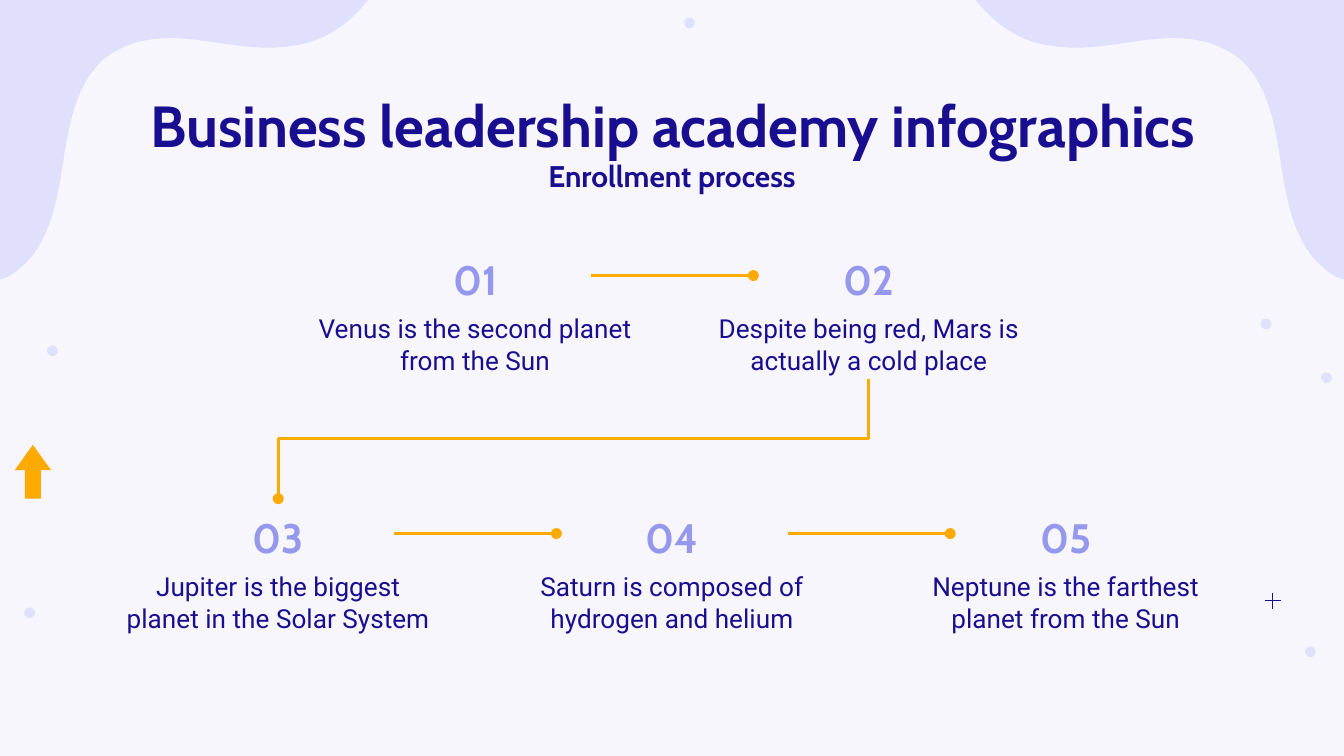
from lxml import etree
from pptx import Presentation
from pptx import util as u
from pptx.dml.color import RGBColor
from pptx.enum import shapes, text
from pptx.oxml import ns

INK = {
    "back": "F6F6FC",
    "pale": "E0E0FD",
    "navy": "1A0E90",
    "lilac": "9698ED",
    "gold": "FFAA00",
}
WIDTH = 10
HEIGHT = WIDTH * 9 / 16
STEP = 2.93                      # distance between step centres
NUM_W, TEXT_W, BOX_H = 1.72, 2.56, 0.52
ROWS = [
    (1.79, ["Venus is the second planet from the Sun",
            "Despite being red, Mars is actually a cold place"]),
    (3.71, ["Jupiter is the biggest planet in the Solar System",
            "Saturn is composed of hydrogen and helium",
            "Neptune is the farthest planet from the Sun"]),
]
DOTS = [(0.39, 2.61), (9.75, 4.85), (9.87, 2.81),
        (5.13, 0.17), (0.22, 4.56), (9.42, 2.41)]
# Edge of the left corner wave: a start, then Bezier triples
START = (0, 2.08)
WAVE = [
    ((0.04, 2.07), (0.08, 2.05), (0.12, 2.02)),
    ((0.14, 2), (0.17, 1.98), (0.19, 1.96)),
    ((0.38, 1.77), (0.43, 1.47), (0.47, 1.21)),
    ((0.51, 0.94), (0.56, 0.65), (0.75, 0.46)),
    ((0.77, 0.44), (0.8, 0.42), (0.83, 0.4)),
    ((1.02, 0.27), (1.27, 0.27), (1.49, 0.3)),
    ((1.72, 0.33), (1.95, 0.38), (2.18, 0.34)),
    ((2.36, 0.32), (2.52, 0.23), (2.65, 0.1)),
    ((2.68, 0.07), (2.71, 0.04), (2.74, 0)),
]


def color(name):
    return RGBColor.from_string(INK[name])


def paint(shape, name):
    shape.shadow.inherit = False
    shape.fill.solid()
    shape.fill.fore_color.rgb = color(name)
    shape.line.fill.background()


def trace(start, curves, count=12):
    """Return points along a chain of cubic Bezier curves."""
    points = [start]
    for one, two, end in curves:
        first = points[-1]
        for i in range(1, count + 1):
            t = i / count
            s = 1 - t
            points.append(tuple(
                s**3 * a + 3 * s * s * t * b + 3 * s * t * t * c + t**3 * d
                for a, b, c, d in zip(first, one, two, end)))
    return points


def add_wave(slide, mirror):
    points = trace(START, WAVE) + [(0, 0)]
    if mirror:
        points = [(WIDTH - x, y) for x, y in points]
    points = [(u.Inches(x), u.Inches(y)) for x, y in points]
    build = slide.shapes.build_freeform(*points[0])
    build.add_line_segments(points[1:], close=True)
    paint(build.convert_to_shape(), "pale")


def add_dot(slide, x, y, size=0.08):
    dot = slide.shapes.add_shape(
        shapes.MSO_SHAPE.OVAL, u.Inches(x - size / 2), u.Inches(y - size / 2),
        u.Inches(size), u.Inches(size))
    paint(dot, "pale")


def add_arrow(slide):
    arrow = slide.shapes.add_shape(
        shapes.MSO_SHAPE.UP_ARROW, u.Inches(0.11), u.Inches(3.31),
        u.Inches(0.27), u.Inches(0.4))
    arrow.adjustments[0] = 0.44
    arrow.adjustments[1] = 0.7
    paint(arrow, "gold")


def add_line(slide, kind, ends, name, width):
    line = slide.shapes.add_connector(kind, *map(u.Inches, ends))
    line.line.color.rgb = color(name)
    line.line.width = u.Pt(width)
    etree.SubElement(line._element.spPr, ns.qn("a:effectLst"))
    return line


def add_link(slide, ends):
    """Draw a gold elbow connector that ends in a dot."""
    link = add_line(slide, shapes.MSO_CONNECTOR.ELBOW, ends, "gold", 1.5)
    edge = link._element.spPr.find(ns.qn("a:ln"))
    etree.SubElement(edge, ns.qn("a:tailEnd"), type="oval")
    return link


def add_plus(slide, x=9.47, y=4.47, arm=0.06):
    for ends in ((x - arm, y, x + arm, y), (x, y + arm, x, y - arm)):
        add_line(slide, shapes.MSO_CONNECTOR.STRAIGHT, ends, "navy", 0.78)


def write(shape, words, size, font, name, bold=False, space=1.0,
          anchor=text.MSO_ANCHOR.MIDDLE):
    frame = shape.text_frame
    frame.word_wrap = True
    frame.auto_size = text.MSO_AUTO_SIZE.NONE
    frame.vertical_anchor = anchor
    frame.margin_left = frame.margin_right = u.Inches(0.1)
    frame.margin_top = frame.margin_bottom = u.Inches(0.1)
    frame.text = words
    para = frame.paragraphs[0]
    para.alignment = text.PP_ALIGN.CENTER
    para.line_spacing = space
    para.space_before = u.Pt(0)
    para.font.size = u.Pt(size)
    para.font.name = font
    para.font.bold = bold
    para.font.color.rgb = color(name)


def add_box(slide, mid, top, width, height):
    return slide.shapes.add_textbox(
        u.Inches(mid - width / 2), u.Inches(top),
        u.Inches(width), u.Inches(height))


def add_heads(slide):
    title = slide.shapes.title
    title.left, title.top = u.Inches(0.79), u.Inches(0.49)
    title.width, title.height = u.Inches(8.43), u.Inches(0.63)
    write(title, "Business leadership academy infographics", 31, "Cabin",
          "navy", True, 1.15, text.MSO_ANCHOR.TOP)
    slide.shapes._spTree.append(title._element)  # in front of the waves
    sub = add_box(slide, WIDTH / 2, 1.07, 4.78, 0.44)
    write(sub, "Enrollment process", 16, "Cabin", "navy", True,
          anchor=text.MSO_ANCHOR.TOP)


def add_step(slide, number, words, mid, top):
    body = add_box(slide, mid, top + 0.51, TEXT_W, BOX_H)
    write(body, words, 14, "Roboto", "navy")
    label = add_box(slide, mid, top, NUM_W, BOX_H)
    write(label, f"{number:02}", 22, "Cabin", "lilac", True, 1.15)
    return label


def add_row(slide, first, top, items):
    """Centre a row of steps and link each number to the next."""
    labels = []
    for i, words in enumerate(items):
        mid = WIDTH / 2 + (i - (len(items) - 1) / 2) * STEP
        labels.append(add_step(slide, first + i, words, mid, top))
    for left, right in zip(labels, labels[1:]):
        link = add_link(slide, (0, 0, 1, 0))
        link.begin_connect(left, 3)
        link.end_connect(right, 1)


def add_turn(slide):
    """Link the end of the first row to the start of the second."""
    x, y, end_x, end_y = WIDTH / 2 + STEP / 2, 2.82, WIDTH / 2 - STEP, 3.71
    mid_x, mid_y = (x + end_x) / 2, (y + end_y) / 2
    half, reach = (end_y - y) / 2, (x - end_x) / 2
    turn = add_link(
        slide, (mid_x - half, mid_y - reach, mid_x + half, mid_y + reach))
    turn._element.spPr.xfrm.set("rot", str(90 * 60000))


def main():
    deck = Presentation()
    deck.slide_width, deck.slide_height = u.Inches(WIDTH), u.Inches(HEIGHT)
    slide = deck.slides.add_slide(deck.slide_layouts[5])
    slide.background.fill.solid()
    slide.background.fill.fore_color.rgb = color("back")
    for x, y in DOTS:
        add_dot(slide, x, y)
    add_arrow(slide)
    add_plus(slide)
    for mirror in (False, True):
        add_wave(slide, mirror)
    add_heads(slide)
    first = 1
    for top, items in ROWS:
        add_row(slide, first, top, items)
        first += len(items)
    add_turn(slide)
    deck.save("out.pptx")


if __name__ == "__main__":
    main()
